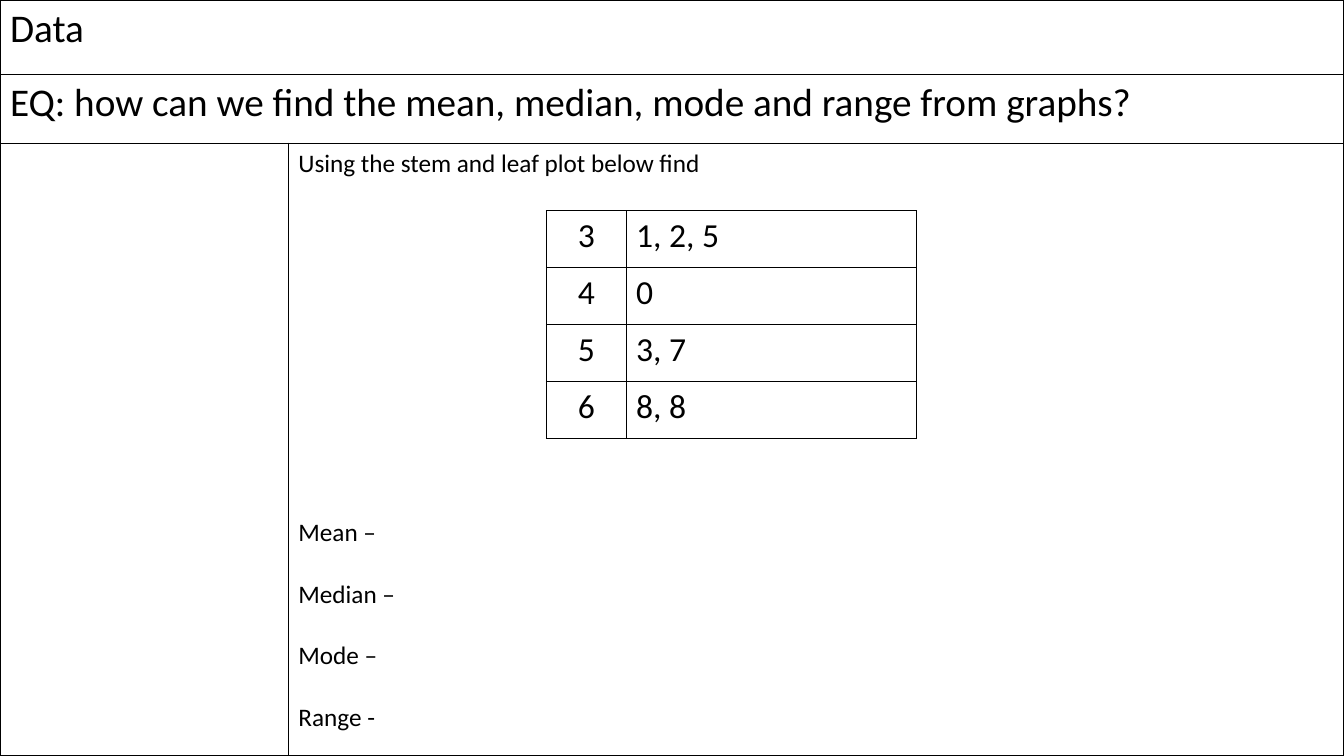
from dataclasses import dataclass

import pptx
import pptx.dml.color
import pptx.enum.text
import pptx.oxml
import pptx.oxml.ns
import pptx.util

Inches, Pt = pptx.util.Inches, pptx.util.Pt
CENTER = pptx.enum.text.PP_ALIGN.CENTER
BLACK, WHITE = "000000", "FFFFFF"
LINE = 22  # height in points of one 18 pt line


@dataclass
class Grid:
    left: float
    top: float
    cols: list[float]
    rows: list[float]


def color(value: str) -> pptx.dml.color.RGBColor:
    return pptx.dml.color.RGBColor.from_string(value)


def add_text(tf, text: str, *, size: float, align=None, before: float = 0) -> None:
    """Fill the first paragraph if it is free, otherwise add one."""
    p = tf.paragraphs[0] if not tf.text else tf.add_paragraph()
    p.alignment = align
    if before:
        p.space_before = Pt(before)
    r = p.add_run()
    r.text = text
    r.font.name, r.font.size = "Calibri", Pt(size)
    r.font.color.rgb = color(BLACK)


def style_cell(cell) -> None:
    """Thin black borders first, then the white fill."""
    tc_pr = cell._tc.get_or_add_tcPr()
    for side in ("lnL", "lnR", "lnT", "lnB"):
        tc_pr.append(pptx.oxml.parse_xml(
            f'<a:{side} {pptx.oxml.ns.nsdecls("a")} w="{Pt(1)}"><a:solidFill>'
            f'<a:srgbClr val="{BLACK}"/></a:solidFill></a:{side}>'))
    cell.fill.solid()
    cell.fill.fore_color.rgb = color(WHITE)


def add_grid(slide, grid: Grid):
    table = slide.shapes.add_table(
        len(grid.rows), len(grid.cols), Inches(grid.left), Inches(grid.top),
        Inches(sum(grid.cols)), Inches(sum(grid.rows))).table
    table.first_row = table.horz_banding = False
    for col, width in zip(table.columns, grid.cols):
        col.width = Inches(width)
    for row, height in zip(table.rows, grid.rows):
        row.height = Inches(height)
    for cell in table.iter_cells():
        style_cell(cell)
    return table


def main() -> None:
    prs = pptx.Presentation()
    prs.slide_width, prs.slide_height = Inches(13.33), Inches(7.5)
    slide = prs.slides.add_slide(prs.slide_layouts[6])

    # Page frame with two full-width headings
    frame = add_grid(slide, Grid(0, 0, [2.86, 10.47], [0.74, 0.68, 6.08]))
    headings = ["Data", "EQ: how can we find the mean, median, mode and range from graphs?"]
    for i, heading in enumerate(headings):
        frame.cell(i, 0).merge(frame.cell(i, 1))
        add_text(frame.cell(i, 0).text_frame, heading, size=28)

    # Task and answer prompts, with room for the plot
    tf = frame.cell(2, 1).text_frame
    add_text(tf, "Using the stem and leaf plot below find", size=18)
    add_text(tf, "Mean –", size=18, before=11 * LINE)
    for prompt in ("Median –", "Mode –", "Range -"):
        add_text(tf, prompt, size=18, before=LINE)

    # Stem and leaf plot
    leaves = {"3": "1, 2, 5", "4": "0", "5": "3, 7", "6": "8, 8"}
    plot = add_grid(slide, Grid(5.42, 2.09, [0.79, 2.88], [2.26 / len(leaves)] * len(leaves)))
    for i, (stem, leaf) in enumerate(leaves.items()):
        add_text(plot.cell(i, 0).text_frame, stem, size=24, align=CENTER)
        add_text(plot.cell(i, 1).text_frame, leaf, size=24)

    prs.save("out.pptx")


if __name__ == "__main__":
    main()
